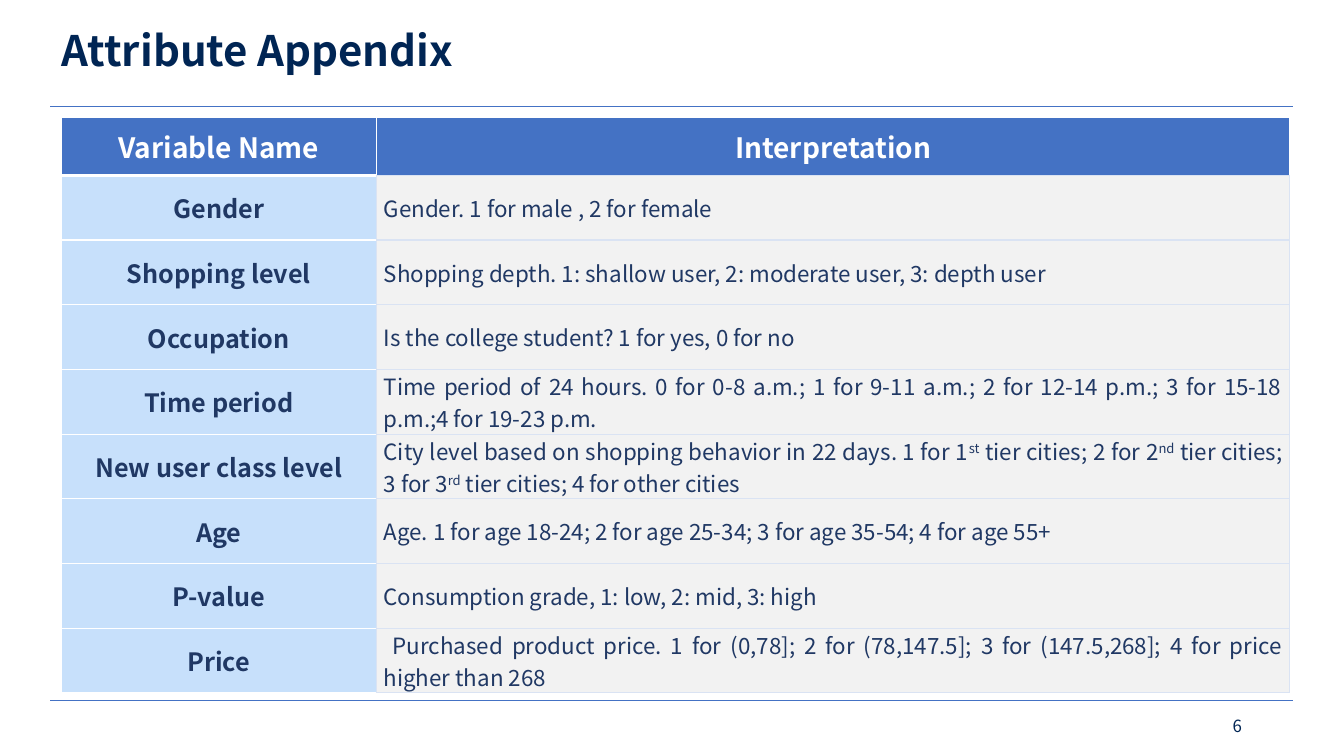
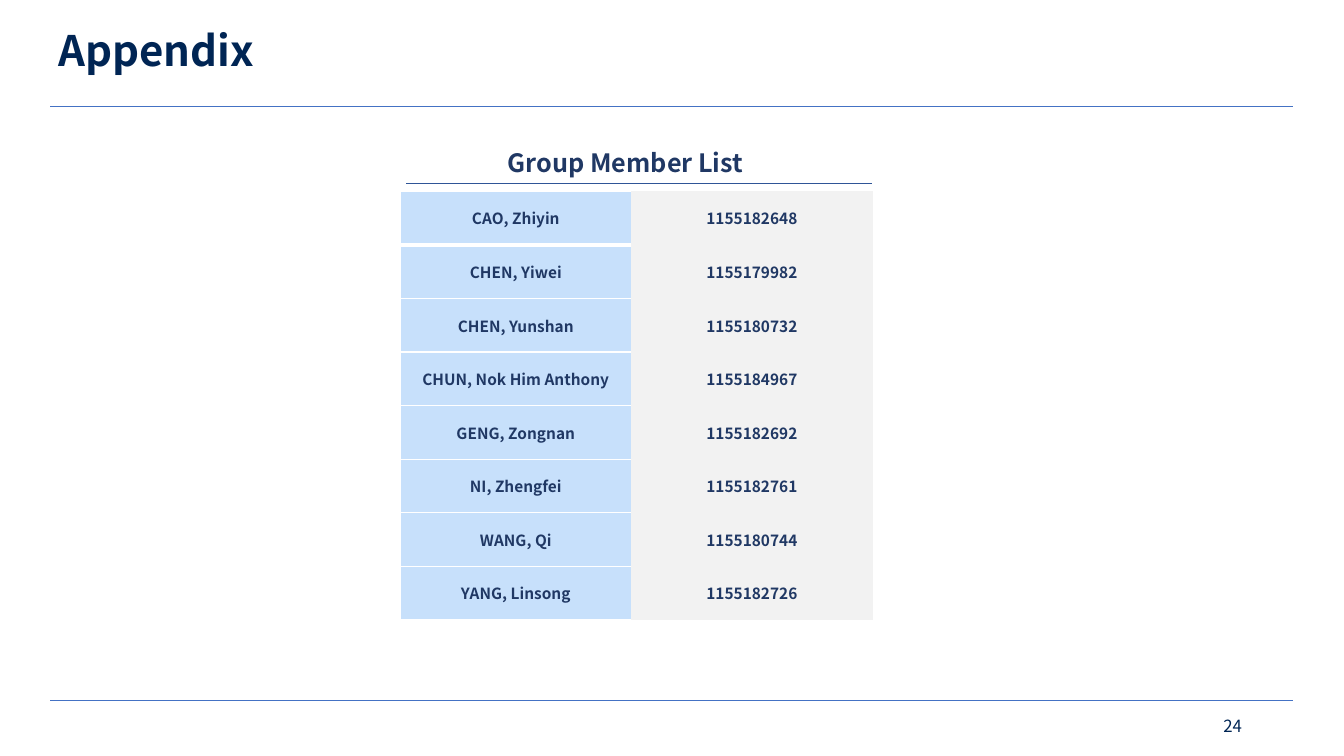
from lxml.etree import SubElement
from pptx import Presentation
from pptx.dml.color import RGBColor
from pptx.enum.shapes import MSO_CONNECTOR
from pptx.enum.text import MSO_ANCHOR, PP_ALIGN
from pptx.oxml.ns import qn
from pptx.util import Cm, Pt

FONT = "Noto Sans CJK SC"
NAVY, INK, BLUE, DEEP_BLUE = "002554", "203864", "4472C4", "2F5597"
SKY, GREY, PALE, WHITE = "C7E0FB", "F2F2F2", "DAE3F3", "FFFFFF"

HEADINGS = ("Variable Name", "Interpretation")
# Text between carets is superscript.
ATTRIBUTES = [
    ("Gender", "Gender. 1 for male , 2 for female"),
    ("Shopping level", "Shopping depth. 1: shallow user, 2: moderate user, 3: depth user"),
    ("Occupation", "Is the college student? 1 for yes, 0 for no"),
    ("Time period", "Time period of 24 hours. 0 for 0-8 a.m.; 1 for 9-11 a.m.; "
                    "2 for 12-14 p.m.; 3 for 15-18 p.m.;4 for 19-23 p.m."),
    ("New user class level", "City level based on shopping behavior in 22 days. "
                             "1 for 1^st^ tier cities; 2 for 2^nd^ tier cities; "
                             "3 for 3^rd^ tier cities; 4 for other cities"),
    ("Age", "Age. 1 for age 18-24; 2 for age 25-34; 3 for age 35-54; 4 for age 55+"),
    ("P-value", "Consumption grade, 1: low, 2: mid, 3: high"),
    ("Price", " Purchased product price. 1 for (0,78]; 2 for (78,147.5]; "
              "3 for (147.5,268]; 4 for price higher than 268"),
]
MEMBERS = [
    ("CAO, Zhiyin", "1155182648"),
    ("CHEN, Yiwei", "1155179982"),
    ("CHEN, Yunshan", "1155180732"),
    ("CHUN, Nok Him Anthony", "1155184967"),
    ("GENG, Zongnan", "1155182692"),
    ("NI, Zhengfei", "1155182761"),
    ("WANG, Qi", "1155180744"),
    ("YANG, Linsong", "1155182726"),
]


def rgb(color):
    return RGBColor.from_string(color)


def write(frame, text, size, color, bold=False, align=PP_ALIGN.LEFT):
    para = frame.paragraphs[0]
    para.alignment = align
    font = para.font
    font.name, font.size, font.bold = FONT, Pt(size), bold
    font.color.rgb = rgb(color)
    for index, part in enumerate(text.split("^")):
        span = para.add_run()
        span.text = part
        if index % 2:
            span._r.get_or_add_rPr().set("baseline", "30000")
    return para


def add_text(page, place, text, size, color, **style):
    frame = page.shapes.add_textbox(*map(Cm, place)).text_frame
    frame.word_wrap = True
    frame.vertical_anchor = MSO_ANCHOR.MIDDLE
    return write(frame, text, size, color, **style)


def add_rule(page, left, right, top, color, width):
    rule = page.shapes.add_connector(
        MSO_CONNECTOR.STRAIGHT, Cm(left), Cm(top), Cm(right), Cm(top))
    rule.line.color.rgb = rgb(color)
    rule.line.width = Pt(width)
    SubElement(rule._element.spPr, qn("a:effectLst"))


def add_page(deck, title, title_left, number):
    page = deck.slides.add_slide(deck.slide_layouts[6])
    for top in (2.69, 17.65):
        add_rule(page, 1.27, 32.59, top, BLUE, 0.5)
    heading = add_text(page, (title_left, 0, 29.21, 2.69), title, 30, NAVY, bold=True)
    heading.line_spacing = 0.9
    add_text(page, (23.93, 17.78, 7.62, 1.02), number, 12, NAVY, align=PP_ALIGN.RIGHT)
    return page


def add_grid(page, left, top, widths, heights):
    grid = page.shapes.add_table(
        len(heights), len(widths), Cm(left), Cm(top),
        Cm(sum(widths)), Cm(sum(heights))).table
    grid.first_row = grid.horz_banding = False
    for column, width in zip(grid.columns, widths):
        column.width = Cm(width)
    for row, height in zip(grid.rows, heights):
        row.height = Cm(height)
    return grid


def fill_cell(cell, text, size, color, fill, border, insets,
              bold=True, align=PP_ALIGN.CENTER, top=1, bottom=1):
    """Style one cell; top and bottom are border widths, border None means no lines."""
    properties = cell._tc.get_or_add_tcPr()
    for side, width in (("L", 1), ("R", 1), ("T", top), ("B", bottom)):
        line = SubElement(properties, qn(f"a:ln{side}"), w=str(Pt(width)))
        if border is None:
            SubElement(line, qn("a:noFill"))
        else:
            paint = SubElement(line, qn("a:solidFill"))
            SubElement(paint, qn("a:srgbClr"), val=border)
    cell.fill.solid()
    cell.fill.fore_color.rgb = rgb(fill)
    across, down = insets
    cell.margin_left = cell.margin_right = Cm(across)
    cell.margin_top = cell.margin_bottom = Cm(down)
    cell.vertical_anchor = MSO_ANCHOR.MIDDLE
    write(cell.text_frame, text, size, color, bold, align)


def add_attribute_page(deck):
    page = add_page(deck, "Attribute Appendix", 1.3, "6")
    grid = add_grid(page, 1.54, 2.95, (7.95, 23.01), [1.47] + [1.63] * len(ATTRIBUTES))
    insets = (0.18, 0)
    for column, heading in enumerate(HEADINGS):
        fill_cell(grid.cell(0, column), heading, 20, WHITE, BLUE, WHITE, insets,
                  bottom=1 if column else 3)
    for row, (name, meaning) in enumerate(ATTRIBUTES, 1):
        fill_cell(grid.cell(row, 0), name, 18, INK, SKY, WHITE, insets,
                  top=3 if row == 1 else 1)
        fill_cell(grid.cell(row, 1), meaning, 16, INK, GREY, PALE, insets,
                  bold=False, align=PP_ALIGN.JUSTIFY)


def add_member_page(deck):
    page = add_page(deck, "Appendix", 1.22, "24")
    grid = add_grid(page, 10.1, 4.82, (5.8, 6.1), [1.35] * len(MEMBERS))
    insets = (0.03, 0.03)
    for row, (name, number) in enumerate(MEMBERS):
        fill_cell(grid.cell(row, 0), name, 11, INK, SKY, WHITE, insets,
                  top=3 if row == 1 else 1, bottom=3 if row == 0 else 1)
        fill_cell(grid.cell(row, 1), number, 11, INK, GREY, None, insets)
    add_text(page, (12.55, 3.58, 6.96, 1.02), "Group Member List", 18, INK, bold=True)
    add_rule(page, 10.24, 21.97, 4.62, DEEP_BLUE, 1)


def main():
    deck = Presentation()
    deck.slide_width, deck.slide_height = Cm(33.87), Cm(19.05)
    add_attribute_page(deck)
    add_member_page(deck)
    deck.save("out.pptx")


if __name__ == "__main__":
    main()
